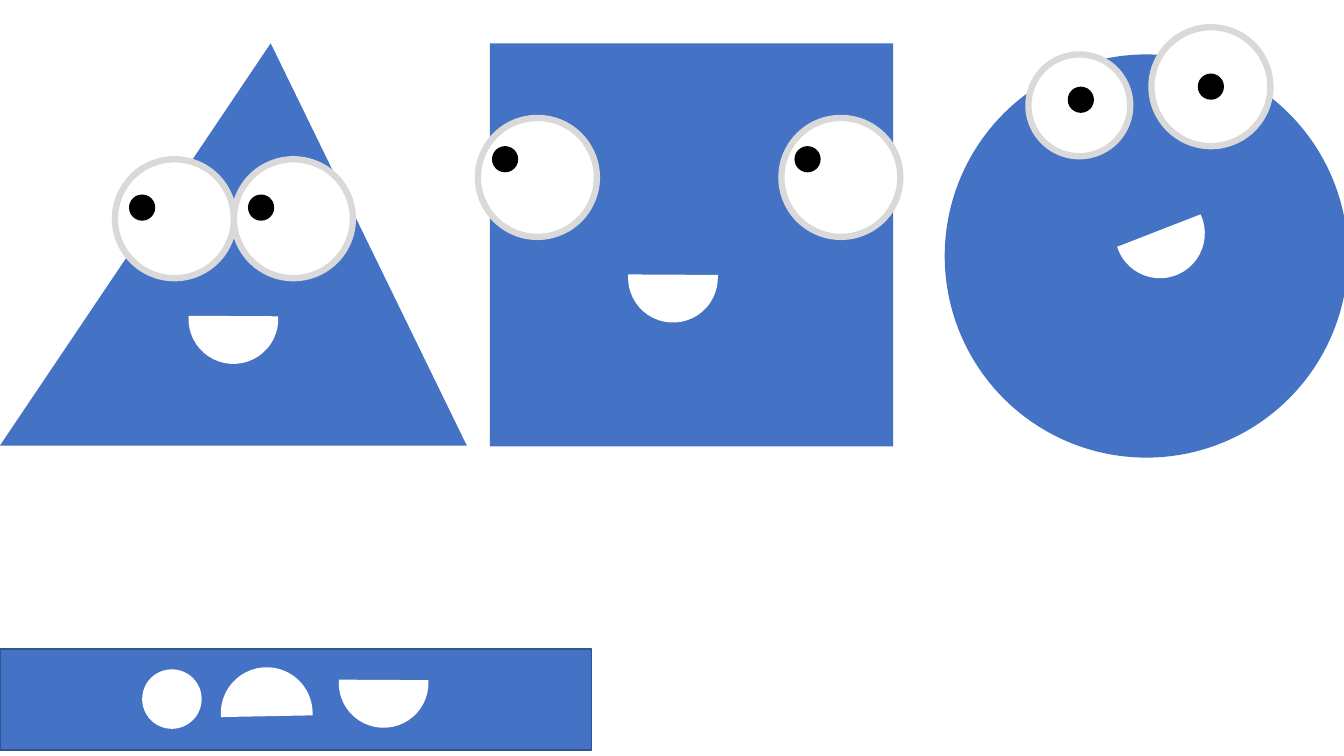
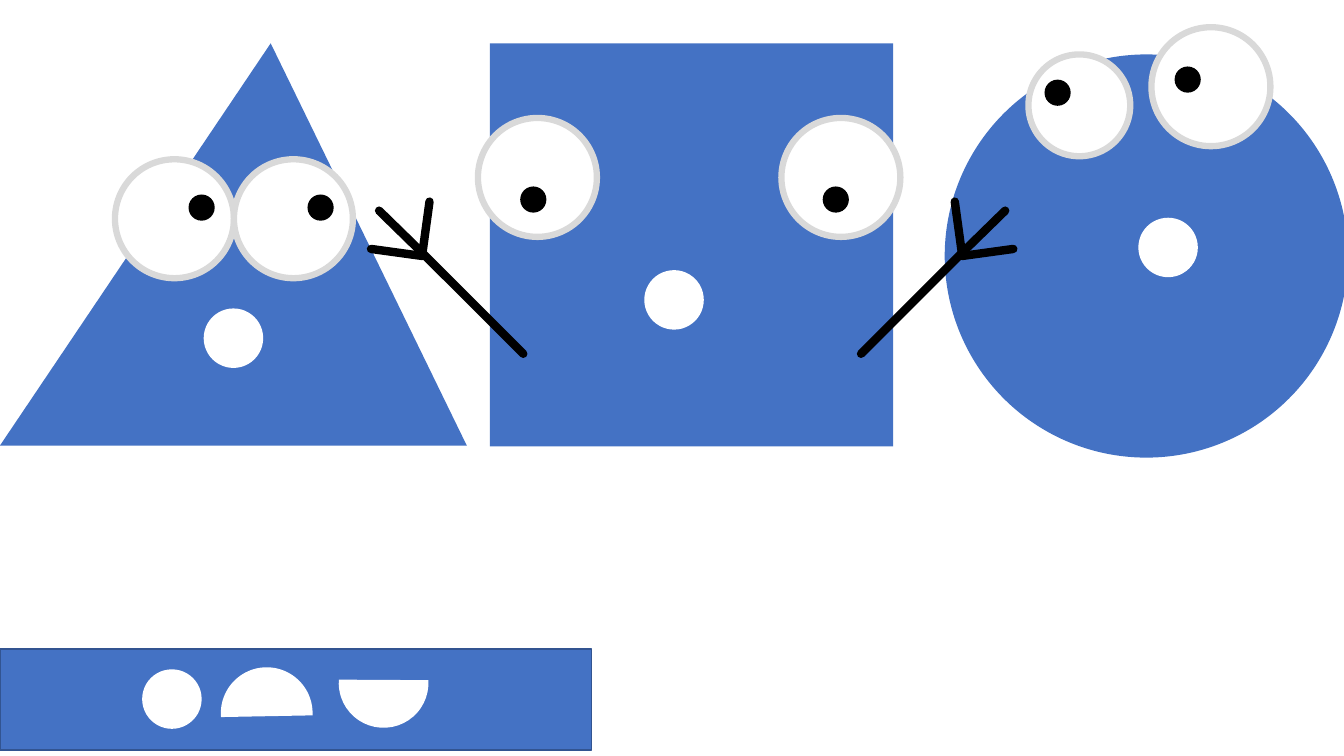
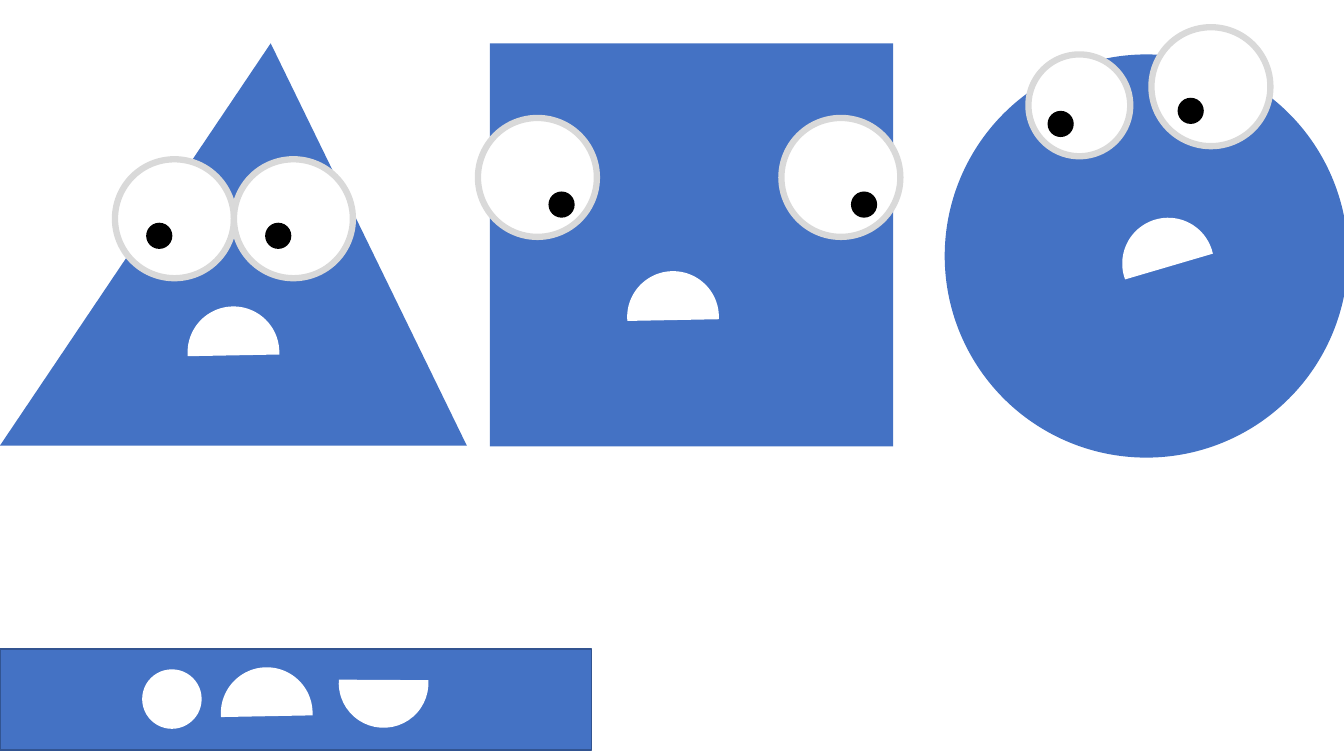
"""Three slides of triangle, square and circle faces with changing moods."""
from pptx import Presentation
from pptx.dml.color import RGBColor
from pptx.enum import shapes as kinds
from pptx.oxml.ns import qn
from pptx.util import Inches, Pt
from lxml import etree

BLUE = RGBColor(0x44, 0x72, 0xC4)
NAVY = RGBColor(0x32, 0x54, 0x91)
GREY = RGBColor(0xD9, 0xD9, 0xD9)
WHITE = RGBColor(0xFF, 0xFF, 0xFF)
BLACK = RGBColor(0, 0, 0)
KIND = kinds.MSO_SHAPE
PUPIL = 0.26

FACES = [
    (KIND.ISOSCELES_TRIANGLE, (0, 0.43, 4.63, 3.99),
     [(1.14, 1.58, 1.18), (2.32, 1.58, 1.18)], (1.18, 0)),
    (KIND.RECTANGLE, (4.86, 0.43, 4, 4),
     [(4.74, 1.17, 1.18), (7.75, 1.17, 1.18)], (3, 0)),
    (KIND.OVAL, (9.37, 0.54, 4, 4),
     [(10.2, 0.54, 1.01), (11.42, 0.27, 1.18)], (1.29, -0.13)),
]
MOUTHS = {
    "oh": (KIND.OVAL, 0.59, 0),
    "sad": (KIND.CHORD, 0.91, 130.1),
    "glad": (KIND.CHORD, 0.89, 311.5),
}
LEGEND = [("oh", 1.41, 6.64, 0), ("sad", 2.19, 6.62, 0), ("glad", 3.36, 6.33, 0)]
MOODS = [
    ([(1.28, 1.93), (4.88, 1.45), (10.59, 0.86)],
     [("glad", 1.87, 2.72, 0), ("glad", 6.23, 2.31, 0), ("glad", 11.06, 1.87, -21.6)],
     False),
    ([(1.87, 1.93), (5.16, 1.85), (10.36, 0.79)],
     [("oh", 2.02, 3.06, 0), ("oh", 6.39, 2.68, 0), ("oh", 11.29, 2.16, 0)],
     True),
    ([(1.45, 2.21), (5.44, 1.9), (10.39, 1.1)],
     [("sad", 1.86, 3.04, 0), ("sad", 6.22, 2.69, 0), ("sad", 11.13, 2.16, -15.3)],
     False),
]
ARM = [
    ((4.19, 2.51), (5.19, 3.51)),
    ((3.76, 2.09), (4.19, 2.51)),
    ((3.68, 2.47), (4.19, 2.54)),
    ((4.26, 2), (4.19, 2.51)),
]
MIRROR = 13.73


def draw(tree, kind, box, fill, edge=None, width=0):
    item = tree.add_shape(kind, *[Inches(n) for n in box])
    item.shadow.inherit = False
    item.fill.solid()
    item.fill.fore_color.rgb = fill
    if edge is None:
        item.line.fill.background()
    else:
        item.line.color.rgb = edge
        item.line.width = Pt(width)
    return item


def stroke(tree, start, end):
    ends = [Inches(n) for n in (*start, *end)]
    line = tree.add_connector(kinds.MSO_CONNECTOR.STRAIGHT, *ends)
    line.line.color.rgb = BLACK
    line.line.width = Pt(6)
    props = line.element.spPr
    props.find(qn("a:ln")).set("cap", "rnd")
    etree.SubElement(props, qn("a:effectLst"))


deck = Presentation()
deck.slide_width = Inches(13.33)
deck.slide_height = Inches(7.5)

for looks, mouths, arms in MOODS:
    tree = deck.slides.add_slide(deck.slide_layouts[6]).shapes
    draw(tree, KIND.RECTANGLE, (0, 6.44, 5.87, 1), BLUE, NAVY, 1)

    for (kind, box, eyes, step), (x, y) in zip(FACES, looks):
        face = draw(tree, kind, box, BLUE)
        if kind == KIND.ISOSCELES_TRIANGLE:
            face.adjustments[0] = 0.58
        for left, top, size in eyes:
            draw(tree, KIND.OVAL, (left, top, size, size), WHITE, GREY, 4.5)
        pair = tree.add_group_shape().shapes
        for i in range(2):
            spot = (x + i * step[0], y + i * step[1], PUPIL, PUPIL)
            draw(pair, KIND.OVAL, spot, BLACK)

    for mood, x, y, tilt in mouths + LEGEND:
        kind, size, turn = MOUTHS[mood]
        mouth = draw(tree, kind, (x, y, size, size), WHITE)
        mouth.rotation = turn + tilt
        if kind == KIND.CHORD:
            mouth.adjustments[0] = 27
            mouth.adjustments[1] = 139.6

    if arms:
        left = tree.add_group_shape().shapes
        right = tree.add_group_shape().shapes
        for (x1, y1), (x2, y2) in ARM:
            stroke(left, (x1, y1), (x2, y2))
            stroke(right, (MIRROR - x1, y1), (MIRROR - x2, y2))

deck.save("out.pptx")
